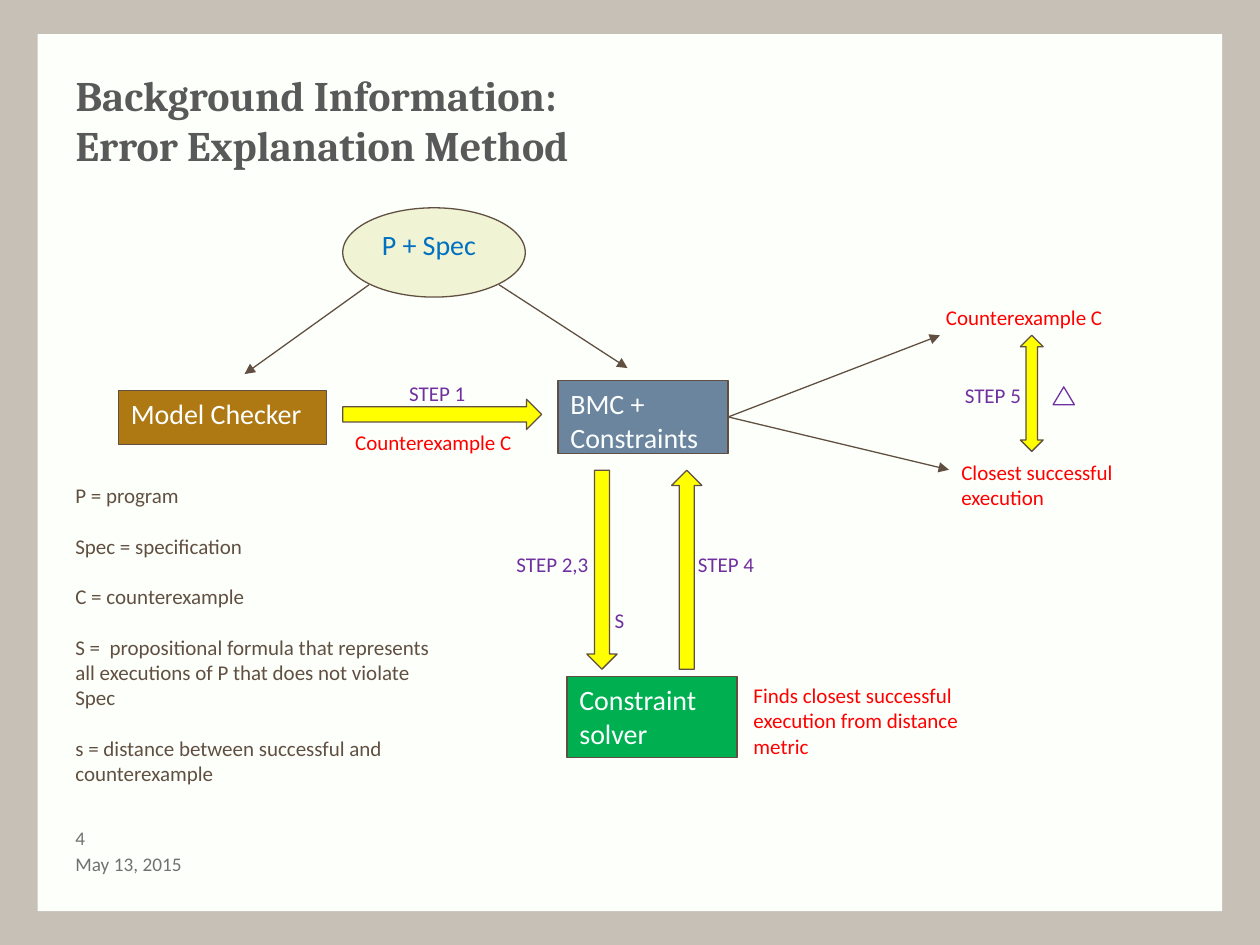
from dataclasses import dataclass

from lxml import etree
from pptx import Presentation
from pptx import util as u
from pptx.dml.color import RGBColor
from pptx.enum import shapes, text
from pptx.oxml import ns

SAND = RGBColor(0xC6, 0xC0, 0xB7)
PAPER = RGBColor(0xFD, 0xFF, 0xFB)
WHITE = RGBColor(0xFC, 0xFF, 0xFF)
DARK = RGBColor(0x59, 0x59, 0x59)
GRAY = RGBColor(0x71, 0x71, 0x71)
BROWN = RGBColor(0x61, 0x50, 0x42)
OCHRE = RGBColor(0xAE, 0x78, 0x12)
SLATE = RGBColor(0x6B, 0x85, 0x9E)
GREEN = RGBColor(0x00, 0xB0, 0x50)
CREAM = RGBColor(0xF1, 0xF3, 0xD5)
BLUE = RGBColor(0x00, 0x70, 0xC0)
YELLOW = RGBColor(0xFF, 0xFF, 0x00)
PURPLE = RGBColor(0x70, 0x30, 0xA0)
RED = RGBColor(0xFF, 0x00, 0x00)
KIND = shapes.MSO_SHAPE


@dataclass
class Box:
    """Where a part lies, in centimetres."""
    x: float
    y: float
    w: float
    h: float

    def emu(self) -> tuple:
        return u.Cm(self.x), u.Cm(self.y), u.Cm(self.w), u.Cm(self.h)


@dataclass
class Node:
    box: Box
    kind: KIND
    fill: RGBColor
    words: str = ""
    ink: RGBColor = WHITE
    edge: RGBColor | None = BROWN
    turn: int = 0


@dataclass
class Label:
    box: Box
    words: str
    ink: RGBColor


@dataclass
class Link:
    start: tuple
    end: tuple
    source: str = ""


def add_run(para, words: str, size: float, ink: RGBColor, face: str = "Calibri"):
    run = para.add_run()
    run.text = words
    run.font.size = u.Pt(size)
    run.font.name = face
    run.font.color.rgb = ink
    return run


def draw_node(slide, node: Node):
    shape = slide.shapes.add_shape(node.kind, *node.box.emu())
    shape.shadow.inherit = False
    shape.rotation = node.turn
    shape.fill.solid()
    shape.fill.fore_color.rgb = node.fill
    if node.edge is None:
        shape.line.fill.background()
    else:
        shape.line.color.rgb = node.edge
        shape.line.width = u.Pt(0.75)
    if node.words:
        frame = shape.text_frame
        frame.vertical_anchor = text.MSO_ANCHOR.TOP
        para = frame.paragraphs[0]
        para.alignment = text.PP_ALIGN.LEFT
        add_run(para, node.words, 16, node.ink)
    return shape


def draw_text(slide, box: Box, lines: list[str], ink: RGBColor,
              size: float = 12, gap: float = 0):
    frame = slide.shapes.add_textbox(*box.emu()).text_frame
    frame.word_wrap = True
    for i, words in enumerate(lines):
        para = frame.paragraphs[0] if i == 0 else frame.add_paragraph()
        para.space_before = u.Pt(gap if i else 0)
        add_run(para, words, size, ink)
    return frame


def draw_link(slide, link: Link, nodes: dict) -> None:
    ends = [u.Cm(n) for n in link.start + link.end]
    line = slide.shapes.add_connector(shapes.MSO_CONNECTOR.STRAIGHT, *ends)
    if link.source:
        line.begin_connect(nodes[link.source], 3)
    line.line.color.rgb = BROWN
    line.line.width = u.Pt(0.75)
    tip = etree.SubElement(line.line._get_or_add_ln(), ns.qn("a:tailEnd"))
    tip.set("type", "triangle")
    etree.SubElement(line._element.spPr, ns.qn("a:effectLst"))


PANEL = Node(Box(0.76, 0.69, 23.88, 17.68), KIND.RECTANGLE, PAPER, edge=None)

NODES = {
    "checker": Node(Box(2.39, 7.87, 4.19, 1.09), KIND.FLOWCHART_PROCESS,
                    OCHRE, "Model Checker"),
    "bmc": Node(Box(11.25, 7.67, 3.43, 1.47), KIND.RECTANGLE,
                SLATE, "BMC + Constraints"),
    "solver": Node(Box(11.43, 13.64, 3.43, 1.63), KIND.RECTANGLE,
                   GREEN, "Constraint solver"),
    "input": Node(Box(6.91, 4.19, 3.68, 1.8), KIND.OVAL,
                  CREAM, "P + Spec", BLUE),
    "delta": Node(Box(21.23, 7.8, 0.43, 0.36), KIND.ISOSCELES_TRIANGLE,
                  WHITE, edge=PURPLE),
    "compare": Node(Box(20.57, 6.76, 0.46, 2.34), KIND.UP_DOWN_ARROW, YELLOW),
}

# Step arrows share one size: left, top, rotation
ARROWS = [(6.91, 8.05, 0), (10.13, 11.18, 90), (11.84, 11.18, 270)]

LINKS = [
    Link((14.68, 8.4), (18.95, 6.76), "bmc"),
    Link((14.68, 8.4), (19.13, 9.47), "bmc"),
    Link((7.44, 5.74), (4.93, 7.54)),
    Link((10.06, 5.74), (12.65, 7.42)),
]

LABELS = [
    Label(Box(8, 7.54, 1.75, 0.76), "STEP 1", PURPLE),
    Label(Box(10.16, 11, 2.03, 0.76), "STEP 2,3", PURPLE),
    Label(Box(13.82, 11, 1.75, 0.76), "STEP 4", PURPLE),
    Label(Box(19.2, 7.59, 1.75, 0.76), "STEP 5", PURPLE),
    Label(Box(12.14, 12.12, 0.75, 0.76), "S", PURPLE),
    Label(Box(6.91, 8.53, 4.45, 0.76), "Counterexample C", RED),
    Label(Box(18.82, 6.02, 4.45, 0.76), "Counterexample C", RED),
    Label(Box(19.13, 9.14, 3.81, 1.27), "Closest successful execution", RED),
    Label(Box(14.94, 13.64, 4.78, 1.8),
          "Finds closest successful execution from distance metric", RED),
]

LEGEND = [
    "P = program",
    "Spec = specification",
    "C = counterexample",
    "S =  propositional formula that represents all executions of P "
    "that does not violate Spec",
    "s = distance between successful and counterexample",
]


def main() -> None:
    deck = Presentation()
    deck.slide_width, deck.slide_height = u.Cm(25.4), u.Cm(19.05)
    slide = deck.slides.add_slide(deck.slide_layouts[5])

    # Background and panel, with the title kept above them
    slide.background.fill.solid()
    slide.background.fill.fore_color.rgb = SAND
    draw_node(slide, PANEL)
    title = slide.shapes.title
    slide.shapes._spTree.append(title._element)
    title.left, title.top, title.width, title.height = Box(
        1.27, 1.27, 22.86, 1.9).emu()
    frame = title.text_frame
    frame.auto_size = text.MSO_AUTO_SIZE.NONE
    frame.vertical_anchor = text.MSO_ANCHOR.TOP
    para = frame.paragraphs[0]
    para.alignment = text.PP_ALIGN.LEFT
    add_run(para, "Background Information:", 24, DARK, "Cambria").font.bold = True
    para.add_line_break()
    add_run(para, "Error Explanation Method", 24, DARK, "Cambria").font.bold = True

    # Flow of the method
    nodes = {key: draw_node(slide, node) for key, node in NODES.items()}
    for x, y, turn in ARROWS:
        draw_node(slide, Node(Box(x, y, 4.01, 0.61), KIND.RIGHT_ARROW,
                              YELLOW, turn=turn))
    for link in LINKS:
        draw_link(slide, link, nodes)
    for label in LABELS:
        draw_text(slide, label.box, [label.words], label.ink)

    # Legend and footer
    draw_text(slide, Box(1.27, 9.6, 8, 6.4), LEGEND, BROWN, gap=14.6)
    for y, words in ((16.64, "4"), (17.15, "May 13, 2015")):
        foot = draw_text(slide, Box(1.27, y, 5.08, 0.51), [words], GRAY, 11)
        foot.margin_top = foot.margin_bottom = 0
        foot.vertical_anchor = text.MSO_ANCHOR.MIDDLE

    deck.save("out.pptx")


if __name__ == "__main__":
    main()
